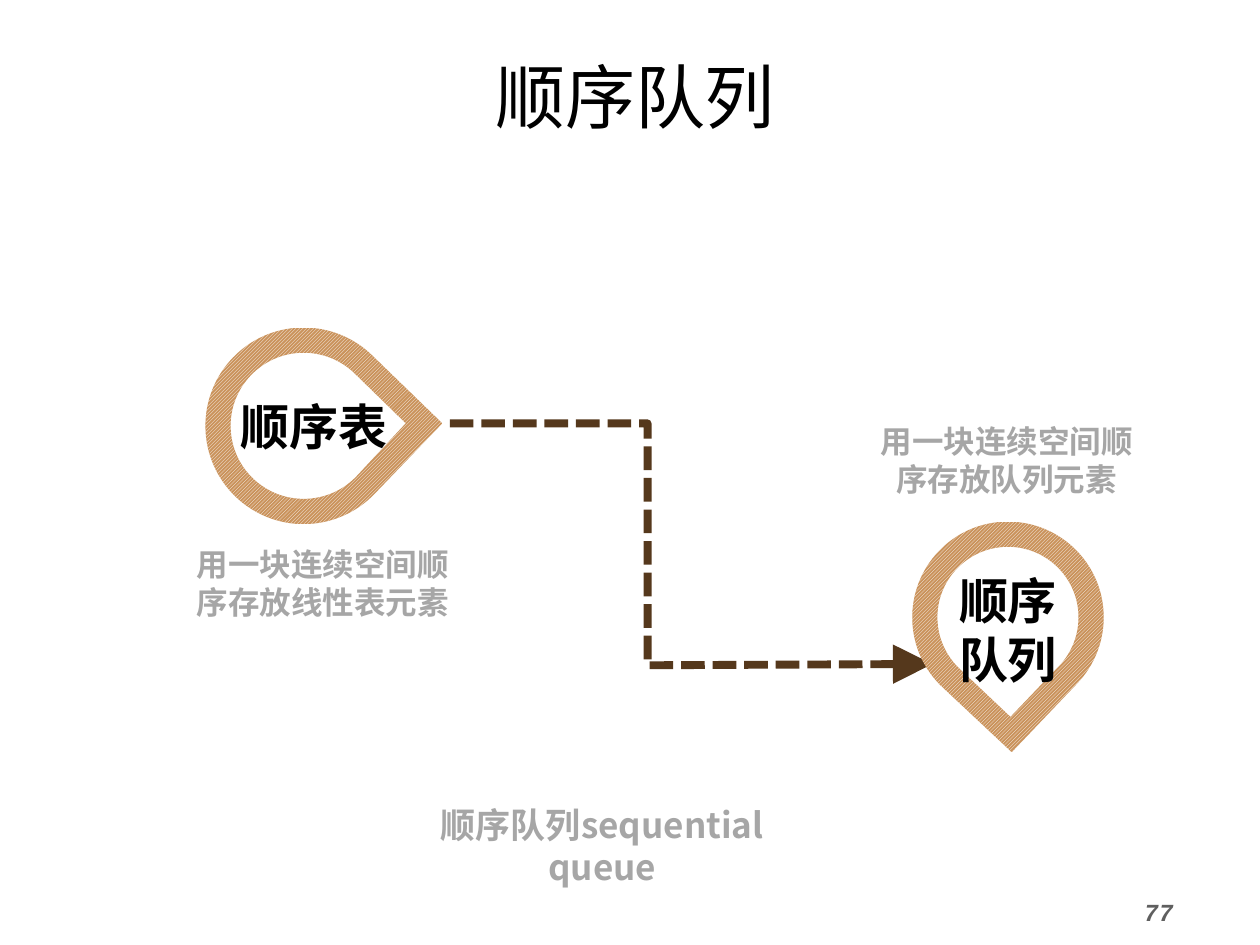
import math
from lxml import etree
from pptx import Presentation
from pptx import util as u
from pptx.dml.color import RGBColor
from pptx.enum import dml, text
from pptx.oxml.ns import qn

COLORS = {"title": "000000", "caption": "A6A6A6", "number": "5F5F5F",
          "arrow": "55381C", "stripe": "FFFFFF", "pin": "CA935C"}
CODE_FONT, CJK_FONT = "Courier New", "Noto Sans CJK SC"

deck = Presentation()
deck.slide_width, deck.slide_height = u.Inches(10), u.Inches(7.5)
page = deck.slides.add_slide(deck.slide_layouts[6])
CELL = deck.slide_width / 100  # the grid has 100 columns and 75 rows


def put_text(box, words, size=18, color="title", font=CODE_FONT, bold=False,
             italic=False, align=text.PP_ALIGN.CENTER,
             anchor=text.MSO_ANCHOR.MIDDLE, insets=(1, 0.5, 1, 0.5)):
    """Fill a box with one paragraph per line; insets are left, top, right, bottom cells."""
    frame = box.text_frame
    frame.word_wrap = True
    frame.vertical_anchor = anchor
    (frame.margin_left, frame.margin_top,
     frame.margin_right, frame.margin_bottom) = [round(i * CELL) for i in insets]
    for index, line in enumerate(words.split("\n")):
        para = frame.add_paragraph() if index else frame.paragraphs[0]
        para.alignment = align
        para.line_spacing = u.Pt(size * 1.2)
        span = para.add_run()
        span.text = line
        span.font.size, span.font.name = u.Pt(size), font
        span.font.bold, span.font.italic = bold, italic
        span.font.color.rgb = RGBColor.from_string(COLORS[color])
        etree.SubElement(span._r.rPr, qn("a:ea"), typeface=CJK_FONT)


def drop_outline(center, radius, tip):
    """Return the nodes of a circle drawn out to a tip, and the handles of its arcs, in EMU."""
    (cx, cy), (tx, ty) = center, tip
    heading = math.atan2(ty - cy, tx - cx)
    spread = math.acos(radius / math.dist(center, tip))
    turns = [spread, math.pi / 2, math.pi, 1.5 * math.pi, 2 * math.pi - spread]
    rays = [(math.cos(heading + t), math.sin(heading + t)) for t in turns]
    nodes = [tip] + [(cx + radius * c, cy + radius * s) for c, s in rays]
    handles = []
    for i in range(4):
        pull = 4 / 3 * math.tan((turns[i + 1] - turns[i]) / 4)
        for (c, s), way in ((rays[i], pull), (rays[i + 1], -pull)):
            handles.append((cx + radius * (c - way * s), cy + radius * (s + way * c)))
    return [[(x * CELL, y * CELL) for x, y in points] for points in (nodes, handles)]


# Dashed route from the list to the queue
route = [(x * CELL, y * CELL) for x, y in
         [(35.7, 33.6), (51.4, 33.6), (51.4, 52.8), (74, 52.7)]]
builder = page.shapes.build_freeform(*route[0])
builder.add_line_segments(route[1:], close=False)
arrow = builder.convert_to_shape()
arrow.shadow.inherit = False
arrow.fill.background()
arrow.line.color.rgb = RGBColor.from_string(COLORS["arrow"])
arrow.line.width = u.Pt(4.5)
arrow.line.dash_style = dml.MSO_LINE.SQUARE_DOT
etree.SubElement(arrow.line._get_or_add_ln(), qn("a:tailEnd"),
                 type="triangle", w="lg", len="lg")

# Striped pins: label, centre, outer radius and tip, inner radius and tip, insets
pins = [
    ("顺序表", (24.1, 33.8), 7.8, (35.1, 33.6), 5.8, (32.2, 33.6), (0, 0.5, 1.6, 0.5)),
    ("顺序\n队列", (80, 49), 7.6, (80.3, 59.7), 5.6, (80.2, 56.9), (0, 0, 0, 1.2)),
]
for label, center, outer, outer_tip, inner, inner_tip, insets in pins:
    rim, rim_handles = drop_outline(center, outer, outer_tip)
    hole, hole_handles = drop_outline(center, inner, inner_tip)
    builder = page.shapes.build_freeform(*rim[0])
    builder.add_line_segments(rim[1:])
    builder.move_to(*hole[0])
    builder.add_line_segments(hole[1:])
    pin = builder.convert_to_shape()

    # Bend all but the first side of each contour into an arc
    sides = list(pin._element.iter(qn("a:lnTo")))
    handles = rim_handles + hole_handles
    for i, side in enumerate(sides[1:5] + sides[6:10]):
        side.tag = qn("a:cubicBezTo")
        for place, (x, y) in enumerate(handles[2 * i:2 * i + 2]):
            side.insert(place, etree.Element(qn("a:pt"), x=str(round(x - pin.left)),
                                             y=str(round(y - pin.top))))

    pin.shadow.inherit = False
    pin.line.fill.background()
    pin.fill.patterned()
    pin.fill.pattern = dml.MSO_PATTERN.DARK_UPWARD_DIAGONAL
    pin.fill.fore_color.rgb = RGBColor.from_string(COLORS["stripe"])
    pin.fill.back_color.rgb = RGBColor.from_string(COLORS["pin"])
    put_text(pin, label, size=28, bold=True, insets=insets)

# Title, captions and page number: words, column, row, width, height, format
caption = dict(color="caption", font=CJK_FONT, bold=True)
labels = [
    ("顺序队列", 2.7, 3.7, 95.4, 7.7, dict(size=40)),
    ("用一块连续空间顺序存放线性表元素", 14.4, 41.9, 22.4, 8.7, caption),
    ("用一块连续空间顺序存放队列元素", 68.7, 32.2, 22.4, 8.6, caption),
    ("顺序队列sequential queue", 33.8, 63.3, 28, 7.7,
     dict(caption, size=20, anchor=text.MSO_ANCHOR.TOP, insets=(0, 0.5, 0, 0.5))),
    ("77", 89.8, 70.7, 10.2, 4.3,
     dict(size=14, color="number", bold=True, italic=True,
          align=text.PP_ALIGN.LEFT, anchor=text.MSO_ANCHOR.TOP)),
]
for words, *place, style in labels:
    box = page.shapes.add_textbox(*[round(cells * CELL) for cells in place])
    put_text(box, words, **style)

deck.save("out.pptx")
